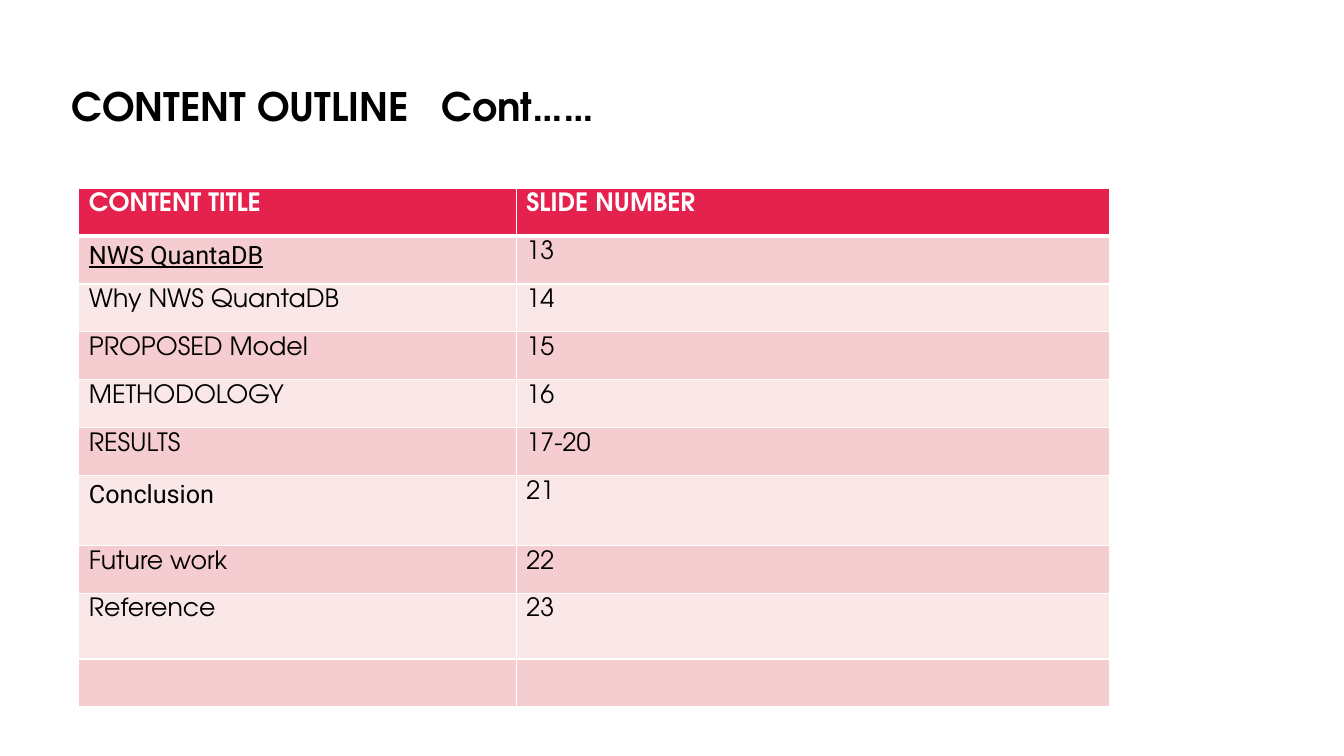
from lxml import etree
from pptx import Presentation
from pptx.dml.color import RGBColor
from pptx.enum.text import MSO_ANCHOR
from pptx.oxml.ns import qn
from pptx.util import Pt

MIDDLE = MSO_ANCHOR.MIDDLE
MAIN_FONT = "TeX Gyre Adventor"
ALTERNATE_FONT = "Roboto"
HEADER_FILL = "E5224E"
BAND_FILLS = ["FAE8E9", "F5CDD0"]
WHITE = "FFFFFF"
BLACK = "000000"


def color(value):
    return RGBColor.from_string(value)


def add_border(cell, side, width):
    line = etree.SubElement(cell._tc.get_or_add_tcPr(), qn(f"a:{side}"), w=str(Pt(width)))
    fill = etree.SubElement(line, qn("a:solidFill"))
    etree.SubElement(fill, qn("a:srgbClr"), val=WHITE)


deck = Presentation()
deck.slide_width = Pt(960)
deck.slide_height = Pt(540)
page = deck.slides.add_slide(deck.slide_layouts[6])

title_box = page.shapes.add_textbox(Pt(44), Pt(55.4), Pt(798.5), Pt(41))
title_box.text_frame.word_wrap = True
title_box.text_frame.vertical_anchor = MIDDLE
title = title_box.text_frame.paragraphs[0]
title.text = "CONTENT OUTLINE   Cont……"
title.font.name = MAIN_FONT
title.font.size = Pt(28)
title.font.bold = True
title.font.color.rgb = color(BLACK)

row_height = 34.2
outline = [
    ("CONTENT TITLE", "SLIDE NUMBER", row_height),
    ("NWS QuantaDB", "13", row_height),
    ("Why NWS QuantaDB", "14", row_height),
    ("PROPOSED Model", "15", row_height),
    ("METHODOLOGY", "16", row_height),
    ("RESULTS", "17-20", row_height),
    ("Conclusion", "21", 50),
    ("Future work", "22", row_height),
    ("Reference", "23", 47),
    ("", "", row_height),
]
alternate_titles = ["NWS QuantaDB", "Conclusion"]
column_widths = [312.5, 424]
table_height = sum(height for _, _, height in outline)

table = page.shapes.add_table(
    len(outline), 2, Pt(56.3), Pt(134.5), Pt(sum(column_widths)), Pt(table_height)
).table
for column, width in zip(table.columns, column_widths):
    column.width = Pt(width)

for row_index, (*texts, height) in enumerate(outline):
    table.rows[row_index].height = Pt(height)
    is_header = row_index == 0
    for column_index, text in enumerate(texts):
        cell = table.cell(row_index, column_index)
        is_alternate = text in alternate_titles
        cell.margin_top = Pt(3.6)
        cell.margin_bottom = Pt(3.6)
        for side in ("lnL", "lnR", "lnT", "lnB"):
            heavy = (is_header and side == "lnB") or (row_index == 1 and side == "lnT")
            add_border(cell, side, 3 if heavy else 1)
        cell.fill.solid()
        cell.fill.fore_color.rgb = color(HEADER_FILL if is_header else BAND_FILLS[row_index % 2])
        para = cell.text_frame.paragraphs[0]
        para.text = text
        para.font.name = ALTERNATE_FONT if is_alternate else MAIN_FONT
        para.font.size = Pt(18)
        para.font.bold = is_header
        para.font.underline = text == alternate_titles[0]
        para.font.color.rgb = color(WHITE if is_header else BLACK)

deck.save("out.pptx")
